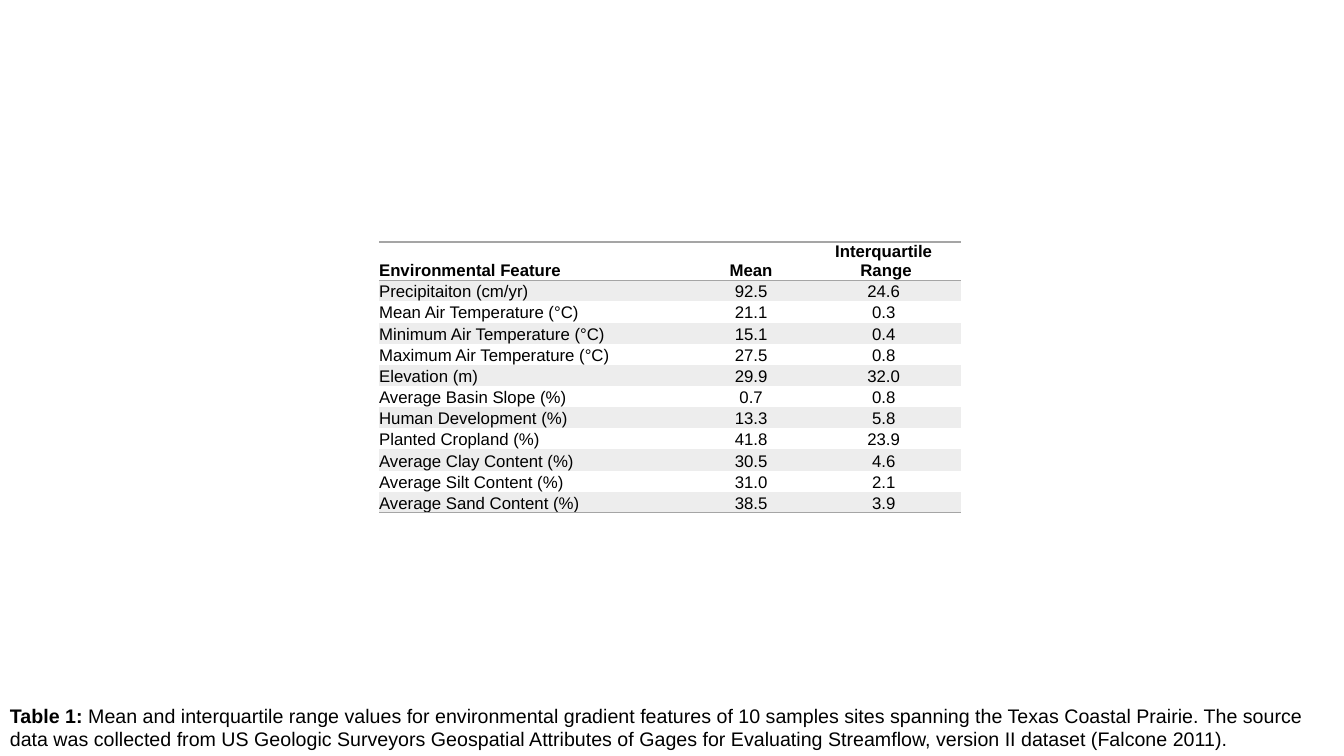
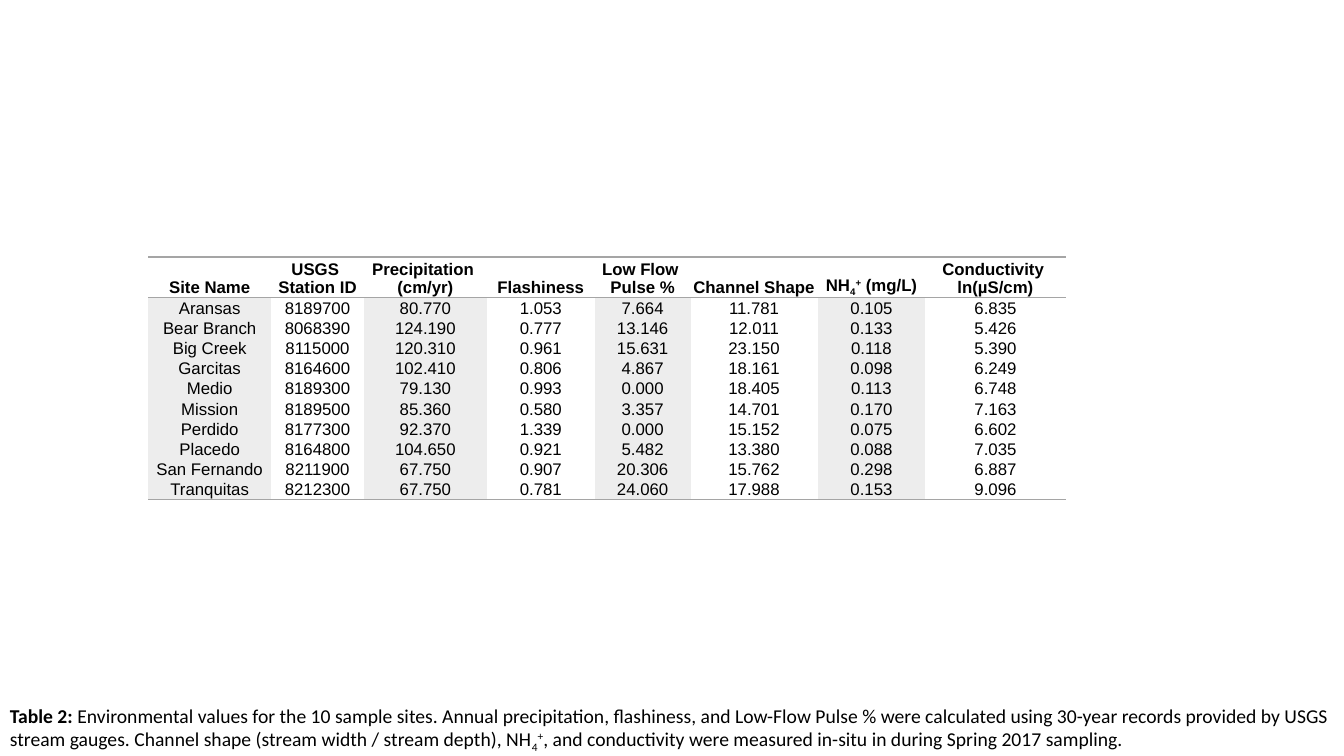
from lxml import etree
from pptx import Presentation, util as u
from pptx.dml.color import RGBColor
from pptx.enum import text as tx
from pptx.oxml import ns

BLACK = RGBColor(0x00, 0x00, 0x00)
BAND = RGBColor(0xED, 0xED, 0xED)
RULE = RGBColor(0xA5, 0xA5, 0xA5)
WIDE, HIGH = 1333, 750
PX = u.Inches(0.01)
PLAIN = "{2D5ABB26-0587-4C30-8999-92F81FD0307C}"
LEVELS = (0, -25000, 30000, 0)

TRAITS = [
    ("Environmental Feature", "Mean", "Interquartile\n Range"),
    ("Precipitaiton (cm/yr)", "92.5", "24.6"),
    ("Mean Air Temperature (°C)", "21.1", "0.3"),
    ("Minimum Air Temperature (°C)", "15.1", "0.4"),
    ("Maximum Air Temperature (°C)", "27.5", "0.8"),
    ("Elevation (m)", "29.9", "32.0"),
    ("Average Basin Slope (%)", "0.7", "0.8"),
    ("Human Development (%)", "13.3", "5.8"),
    ("Planted Cropland (%)", "41.8", "23.9"),
    ("Average Clay Content (%)", "30.5", "4.6"),
    ("Average Silt Content (%)", "31.0", "2.1"),
    ("Average Sand Content (%)", "38.5", "3.9"),
]

SITES = [
    ("Site Name", "USGS \nStation ID", "Precipitation \n(cm/yr)", "Flashiness",
     "Low Flow \nPulse %", "Channel Shape", "NH|4|+| (mg/L)", "Conductivity \nln(µS/cm)"),
    ("Aransas", "8189700", "80.770", "1.053", "7.664", "11.781", "0.105", "6.835"),
    ("Bear Branch", "8068390", "124.190", "0.777", "13.146", "12.011", "0.133", "5.426"),
    ("Big Creek", "8115000", "120.310", "0.961", "15.631", "23.150", "0.118", "5.390"),
    ("Garcitas", "8164600", "102.410", "0.806", "4.867", "18.161", "0.098", "6.249"),
    ("Medio", "8189300", "79.130", "0.993", "0.000", "18.405", "0.113", "6.748"),
    ("Mission", "8189500", "85.360", "0.580", "3.357", "14.701", "0.170", "7.163"),
    ("Perdido", "8177300", "92.370", "1.339", "0.000", "15.152", "0.075", "6.602"),
    ("Placedo", "8164800", "104.650", "0.921", "5.482", "13.380", "0.088", "7.035"),
    ("San Fernando", "8211900", "67.750", "0.907", "20.306", "15.762", "0.298", "6.887"),
    ("Tranquitas", "8212300", "67.750", "0.781", "24.060", "17.988", "0.153", "9.096"),
]


class Deck:
    def __init__(self):
        self.prs = Presentation()
        self.prs.slide_width = WIDE * PX
        self.prs.slide_height = HIGH * PX
        self.slide = None

    def page(self):
        self.slide = self.prs.slides.add_slide(self.prs.slide_layouts[6])

    def style(self, para, size, name, bold=None):
        para.font.size = u.Pt(size)
        para.font.name = name
        para.font.bold = bold
        para.font.color.rgb = BLACK

    def runs(self, para, words):
        for part, level in zip(words.split("|"), LEVELS):
            run = para.add_run()
            run.text = part
            if level:
                run._r.get_or_add_rPr().set("baseline", str(level))

    def rule(self, cell, *sides):
        props = cell._tc.get_or_add_tcPr()
        for spot, side in enumerate(sides):
            line = etree.Element(ns.qn("a:ln" + side), w=str(u.Pt(1)))
            fill = etree.SubElement(line, ns.qn("a:solidFill"))
            etree.SubElement(fill, ns.qn("a:srgbClr"), val=str(RULE))
            props.insert(spot, line)

    def cell(self, cell, words, align, bold, band):
        cell.margin_left = cell.margin_right = 0
        cell.margin_top = cell.margin_bottom = 0
        cell.vertical_anchor = tx.MSO_ANCHOR.BOTTOM
        if band:
            cell.fill.solid()
            cell.fill.fore_color.rgb = BAND
        else:
            cell.fill.background()
        frame = cell.text_frame
        for spot, line in enumerate(words.split("\n")):
            para = frame.add_paragraph() if spot else frame.paragraphs[0]
            para.alignment = align
            self.style(para, 12, "Arial", bold)
            self.runs(para, line)

    def table(self, left, top, cols, head, step, rows, band, first):
        high = head + step * (len(rows) - 1)
        table = self.slide.shapes.add_table(
            len(rows), len(cols), left * PX, top * PX, sum(cols) * PX, high * PX).table
        table.first_row = table.horz_banding = False
        table._tbl.tblPr.find(ns.qn("a:tableStyleId")).text = PLAIN
        for col, wide in zip(table.columns, cols):
            col.width = wide * PX
        for r, row in enumerate(rows):
            table.rows[r].height = (step if r else head) * PX
            for c, words in enumerate(row):
                cell = table.cell(r, c)
                align = tx.PP_ALIGN.CENTER if c else first
                self.cell(cell, words, align, r == 0, r > 0 and band(r, c))
                if r == 0:
                    self.rule(cell, "T", "B")
                elif r == len(rows) - 1:
                    self.rule(cell, "B")

    def note(self, label, words, name):
        box = self.slide.shapes.add_textbox(0, 693 * PX, WIDE * PX, 57 * PX)
        frame = box.text_frame
        frame.word_wrap = True
        frame.auto_size = tx.MSO_AUTO_SIZE.SHAPE_TO_FIT_TEXT
        para = frame.paragraphs[0]
        self.style(para, 14, name)
        run = para.add_run()
        run.text = label
        run.font.bold = True
        self.runs(para, words)


def main():
    deck = Deck()

    deck.page()
    deck.table(376, 240, (314, 110, 153), 38, 21, TRAITS,
               lambda r, c: r % 2 == 1, tx.PP_ALIGN.LEFT)
    deck.note("Table 1:", " Mean and interquartile range values for environmental gradient "
              "features of 10 samples sites spanning the Texas Coastal Prairie. The source "
              "data was collected from US Geologic Surveyors Geospatial Attributes of Gages "
              "for Evaluating Streamflow, version II dataset (Falcone 2011).", "Arial")

    deck.page()
    deck.table(147, 255, (122, 92, 122, 107, 95, 126, 107, 139), 40, 20, SITES,
               lambda r, c: c % 2 == 0, tx.PP_ALIGN.CENTER)
    deck.note("Table 2:", " Environmental values for the 10 sample sites. Annual "
              "precipitation, flashiness, and Low-Flow Pulse % were calculated using 30-year "
              "records provided by USGS stream gauges. Channel shape (stream width / stream "
              "depth), NH|4|+|, and conductivity were measured in-situ in during Spring 2017 "
              "sampling.", "Calibri")

    deck.prs.save("out.pptx")


if __name__ == "__main__":
    main()
